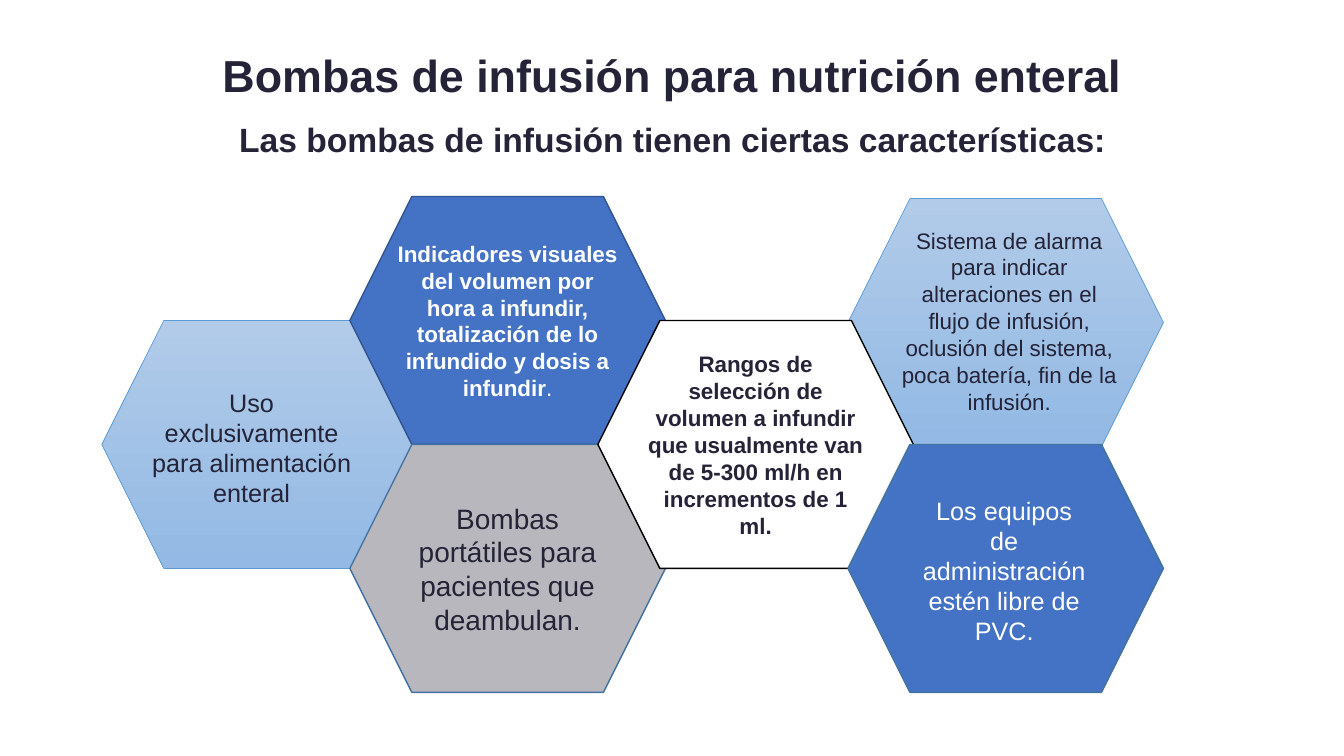
from dataclasses import dataclass
from typing import Optional

from pptx import Presentation
from pptx.dml import color
from pptx.enum import shapes, text
from pptx.util import Inches, Pt

COLORS = {
    "ink": "242337",
    "white": "FFFFFF",
    "black": "000000",
    "blue": "4472C4",
    "blue_edge": "325491",
    "steel_edge": "43739E",
    "sky_edge": "5B9BD5",
    "sky_top": "B1CBE9",
    "sky_bottom": "93B9E4",
    "gray": "B7B7BD",
}
FONT = "Arial"
HEXAGON_WIDTH, HEXAGON_HEIGHT = 3.13, 2.46


@dataclass
class Label:
    """Runs of text; the flag of each run tells whether it is bold."""
    runs: list[tuple[str, bool]]
    size: int
    ink: str = "ink"


@dataclass
class Hexagon:
    left: float
    top: float
    fill: Optional[str]  # None gives the sky gradient
    edge: str
    edge_width: float = 1
    label: Optional[Label] = None


@dataclass
class Caption:
    left: float
    top: float
    width: float
    height: float
    label: Label


HEADINGS = [
    Caption(0.92, 0.42, 11.5, 0.65,
            Label([("Bombas de infusión para nutrición enteral", True)], 32)),
    Caption(0.67, 1.13, 12, 0.5,
            Label([("Las bombas de infusión tienen ciertas características:", True)], 24)),
]

# Back to front
HEXAGONS = [
    Hexagon(1.01, 3.18, None, "sky_edge", 0.5),
    Hexagon(3.47, 1.95, "blue", "blue_edge", label=Label(
        [("Indicadores visuales del volumen por hora a infundir, "
          "totalización de lo infundido y dosis a infundir", True),
         (".", False)], 16, "white")),
    Hexagon(8.41, 1.97, None, "sky_edge", 0.5),
    Hexagon(3.47, 4.41, "gray", "steel_edge", label=Label(
        [("Bombas portátiles para pacientes que deambulan.", False)], 20)),
    Hexagon(5.93, 3.18, "white", "black", label=Label(
        [("Rangos de selección de volumen a infundir que usualmente "
          "van de 5-300 ml/h en incrementos de 1 ml.", True)], 16)),
    Hexagon(8.41, 4.41, "blue", "steel_edge"),
]

CAPTIONS = [
    Caption(9.03, 4.86, 1.86, 1.62, Label(
        [("Los equipos de administración estén libre de PVC.", False)], 18, "white")),
    Caption(8.82, 2.2, 2.38, 1.99, Label(
        [("Sistema de alarma para indicar alteraciones en el flujo de infusión, "
          "oclusión del sistema, poca batería, fin de la infusión.", False)], 16)),
    Caption(1.29, 3.79, 2.41, 1.31, Label(
        [("Uso exclusivamente para alimentación enteral", False)], 18)),
]


def rgb(name: str) -> color.RGBColor:
    return color.RGBColor.from_string(COLORS[name])


def write_label(text_frame, label: Label) -> None:
    text_frame.word_wrap = True
    paragraph = text_frame.paragraphs[0]
    paragraph.alignment = text.PP_ALIGN.CENTER
    for words, bold in label.runs:
        run = paragraph.add_run()
        run.text = words
        run.font.name = FONT
        run.font.size = Pt(label.size)
        run.font.bold = bold
        run.font.color.rgb = rgb(label.ink)


def draw_hexagon(slide, hexagon: Hexagon) -> None:
    shape = slide.shapes.add_shape(
        shapes.MSO_SHAPE.HEXAGON, Inches(hexagon.left), Inches(hexagon.top),
        Inches(HEXAGON_WIDTH), Inches(HEXAGON_HEIGHT))
    shape.shadow.inherit = False
    if hexagon.fill:
        shape.fill.solid()
        shape.fill.fore_color.rgb = rgb(hexagon.fill)
    else:
        shape.fill.gradient()
        shape.fill.gradient_angle = 270
        for stop, name in zip(shape.fill.gradient_stops, ("sky_top", "sky_bottom")):
            stop.color.rgb = rgb(name)
    shape.line.color.rgb = rgb(hexagon.edge)
    shape.line.width = Pt(hexagon.edge_width)
    if hexagon.label:
        frame = shape.text_frame
        frame.margin_left = frame.margin_right = 0
        frame.margin_top = frame.margin_bottom = 0
        frame.vertical_anchor = text.MSO_ANCHOR.MIDDLE
        write_label(frame, hexagon.label)


def draw_caption(slide, caption: Caption) -> None:
    box = slide.shapes.add_textbox(
        Inches(caption.left), Inches(caption.top),
        Inches(caption.width), Inches(caption.height))
    write_label(box.text_frame, caption.label)


def main() -> None:
    presentation = Presentation()
    presentation.slide_width = Inches(13.33)
    presentation.slide_height = Inches(7.5)
    slide = presentation.slides.add_slide(presentation.slide_layouts[6])

    # Title and subtitle
    for heading in HEADINGS:
        draw_caption(slide, heading)

    # Honeycomb
    for hexagon in HEXAGONS:
        draw_hexagon(slide, hexagon)

    # Texts laid over the honeycomb
    for caption in CAPTIONS:
        draw_caption(slide, caption)

    presentation.save("out.pptx")


if __name__ == "__main__":
    main()
